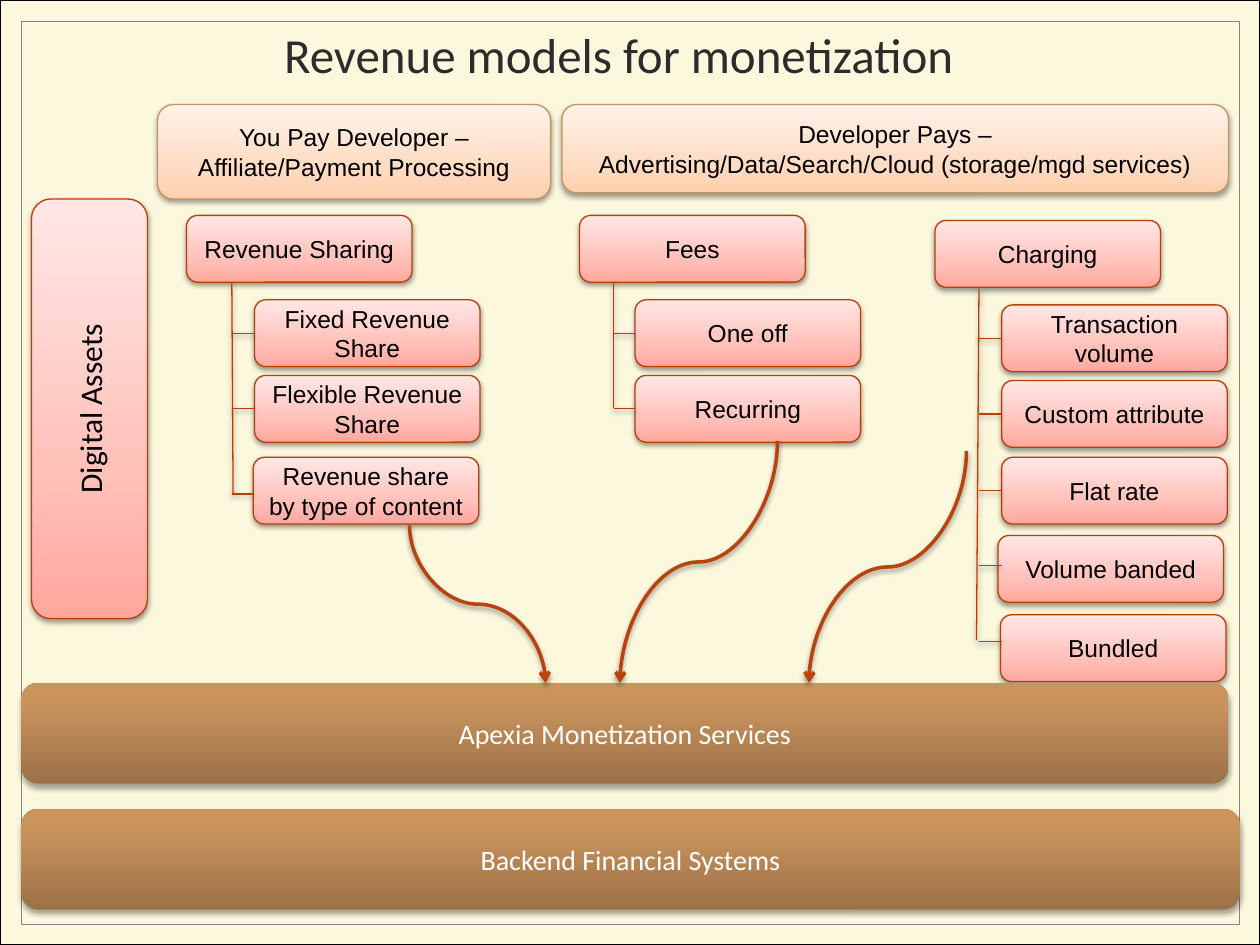
from lxml import etree
from pptx import Presentation
from pptx.dml.color import RGBColor
from pptx.enum.shapes import MSO_CONNECTOR as LINK, MSO_SHAPE as SHAPE
from pptx.enum.text import MSO_ANCHOR as ANCHOR, PP_ALIGN as ALIGN
from pptx.oxml.ns import qn
from pptx.util import Inches, Pt

COLORS = {
    "paper": "FCF8DE", "black": "000000", "frame": "848484", "title": "2C2C2C",
    "white": "FFFFFF", "rust": "B93F09", "arrow": "B9420D", "tan": "C19568",
}
GRADIENTS = {
    "pink": [(0, "FFA79D"), (35, "FFC1BA"), (100, "FFE7E5")],
    "peach": [(0, "FFD0AC"), (35, "FEDDC5"), (100, "FFF2E8")],
    "brown": [(0, "9B7148"), (80, "C9935D"), (100, "CC945B")],
}
NODE_W, NODE_H = 1.79, 0.53


def color(name):
    return RGBColor.from_string(COLORS[name])


def add_xml(parent, tag, **attributes):
    return etree.SubElement(parent, qn(tag), attributes)


def write_text(frame, text, font="Arial", size=14, ink="black"):
    frame.word_wrap = True
    frame.vertical_anchor = ANCHOR.MIDDLE
    frame.margin_left = frame.margin_right = Inches(0.09)
    frame.margin_top = frame.margin_bottom = Inches(0.05)
    for index, line in enumerate(text.split("\n")):
        paragraph = frame.add_paragraph() if index else frame.paragraphs[0]
        paragraph.alignment = ALIGN.CENTER
        run = paragraph.add_run()
        run.text = line
        run.font.name, run.font.size = font, Pt(size)
        run.font.color.rgb = color(ink)


class SlideBuilder:
    """Draws styled elements on the current slide."""

    def __init__(self, slide):
        self.slide = slide

    def panel(self, left, top, width, height, line, weight, fill=None):
        panel = self.slide.shapes.add_shape(
            SHAPE.RECTANGLE, Inches(left), Inches(top), Inches(width), Inches(height))
        panel.shadow.inherit = False
        if fill:
            panel.fill.solid()
            panel.fill.fore_color.rgb = color(fill)
        else:
            panel.fill.background()
        panel.line.color.rgb = color(line)
        panel.line.width = Pt(weight)

    def title(self, text, left, top, width, height):
        title = self.slide.shapes.add_textbox(
            Inches(left), Inches(top), Inches(width), Inches(height))
        write_text(title.text_frame, text, font="Calibri", size=28, ink="title")

    def shadow(self, properties, alpha=38, distance=1.6):
        effects = properties.find(qn("a:effectLst"))
        if effects is None:
            effects = add_xml(properties, "a:effectLst")
        outer = add_xml(effects, "a:outerShdw", blurRad=str(Pt(3.1)),
                        dist=str(Pt(distance)), dir="5400000", rotWithShape="0")
        tint = add_xml(outer, "a:srgbClr", val=COLORS["black"])
        add_xml(tint, "a:alpha", val=str(alpha * 1000))

    def box(self, text, left, top, width, height, gradient="pink", line="rust",
            vertical=False, **text_format):
        box = self.slide.shapes.add_shape(
            SHAPE.ROUNDED_RECTANGLE, Inches(left), Inches(top), Inches(width), Inches(height))
        box.fill.gradient()
        box.fill.gradient_angle = 90
        properties = box.element.spPr
        stops = properties.find(qn("a:gradFill")).find(qn("a:gsLst"))
        for stop in list(stops):
            stops.remove(stop)
        for position, shade in GRADIENTS[gradient]:
            stop = add_xml(stops, "a:gs", pos=str(position * 1000))
            add_xml(stop, "a:srgbClr", val=shade)
        if line:
            box.line.color.rgb = color(line)
            box.line.width = Pt(0.75)
        else:
            box.line.fill.background()
        box.shadow.inherit = False
        if line:
            self.shadow(properties)
        else:
            self.shadow(properties, alpha=35, distance=1.8)
        write_text(box.text_frame, text, **text_format)
        if vertical:
            box.text_frame._txBody.bodyPr.set("vert", "vert270")
        return box

    def connector(self, kind, start, end, line="rust", weight=0.75):
        connector = self.slide.shapes.add_connector(
            kind, *(Inches(length) for length in (*start, *end)))
        connector.line.color.rgb = color(line)
        connector.line.width = Pt(weight)
        self.shadow(connector.element.spPr)
        return connector

    def flow(self, start, end):
        (x1, y1), (x2, y2) = start, end
        drop, span = y2 - y1, abs(x2 - x1)
        left = (x1 + x2 - drop) / 2
        top = (y1 + y2 - span) / 2
        ends = [(left, top), (left + drop, top + span)]
        if x2 > x1:
            ends = [(left + drop, top), (left, top + span)]
        flow = self.connector(LINK.CURVE, *ends, line="arrow", weight=2)
        degrees = 270 if x2 > x1 else 90
        flow.element.spPr.find(qn("a:xfrm")).set("rot", str(degrees * 60000))
        add_xml(flow.line._get_or_add_ln(), "a:tailEnd", type="arrow")

    def tree(self, root, left, top, trunk, branches):
        self.box(root, left, top, NODE_W, NODE_H)
        edge = branches[0][1]
        nodes = [self.box(text, x, y, NODE_W, NODE_H) for text, x, y, _ in branches]
        self.connector(LINK.STRAIGHT, *trunk)
        stem = trunk[0][0]
        for node, (_, _, y, twig_y) in zip(nodes, branches):
            level = twig_y or y + NODE_H / 2
            twig = self.connector(LINK.STRAIGHT, (stem, level), (edge, level))
            if twig_y is None:
                twig.end_connect(node, 1)


def main():
    presentation = Presentation()
    presentation.slide_width, presentation.slide_height = Inches(10), Inches(7.5)
    builder = SlideBuilder(presentation.slides.add_slide(presentation.slide_layouts[6]))

    builder.panel(0, 0, 10, 7.5, "black", 0.75, fill="paper")
    builder.panel(0.17, 0.17, 9.67, 7.17, "frame", 0.5)
    builder.title("Revenue models for monetization", 1.99, 0.19, 5.84, 0.48)

    trees = [
        ("Fees", 4.6, 1.71, [(4.87, 2.24), (4.87, 3.24)],
         [("One off", 5.04, 2.38, None), ("Recurring", 5.04, 2.98, None)]),
        ("Revenue Sharing", 1.48, 1.71, [(1.84, 2.24), (1.85, 3.92)],
         [("Fixed Revenue Share", 2.02, 2.38, None),
          ("Flexible Revenue Share", 2.02, 2.98, None),
          ("Revenue share by type of content", 2.01, 3.63, 3.92)]),
        ("Charging", 7.42, 1.75, [(7.77, 2.29), (7.75, 5.08)],
         [("Transaction volume", 7.95, 2.42, None),
          ("Custom attribute", 7.95, 3.02, None),
          ("Flat rate", 7.95, 3.63, None),
          ("Volume banded", 7.92, 4.25, 4.49),
          ("Bundled", 7.94, 4.88, 5.09)]),
    ]
    for tree in trees:
        builder.tree(*tree)

    payers = [
        ("You Pay Developer –\nAffiliate/Payment Processing", 1.25, 3.12, 0.75),
        ("Developer Pays –\nAdvertising/Data/Search/Cloud (storage/mgd services)",
         4.46, 5.29, 0.7),
    ]
    for text, left, width, height in payers:
        builder.box(text, left, 0.83, width, height, gradient="peach", line="tan")

    builder.box("Digital Assets", 0.25, 1.58, 0.92, 3.33, vertical=True,
                font="Calibri", size=18)

    layers = [("Backend Financial Systems", 6.42, 9.67),
              ("Apexia Monetization Services", 5.42, 9.58)]
    for text, top, width in layers:
        builder.box(text, 0.17, top, width, 0.8, gradient="brown", line=None,
                    font="Calibri", size=16, ink="white")

    flows = [((3.25, 4.17), 4.33), ((6.17, 3.5), 4.92), ((7.67, 3.58), 6.42)]
    for start, landing in flows:
        builder.flow(start, (landing, 5.42))

    presentation.save("out.pptx")


if __name__ == "__main__":
    main()
